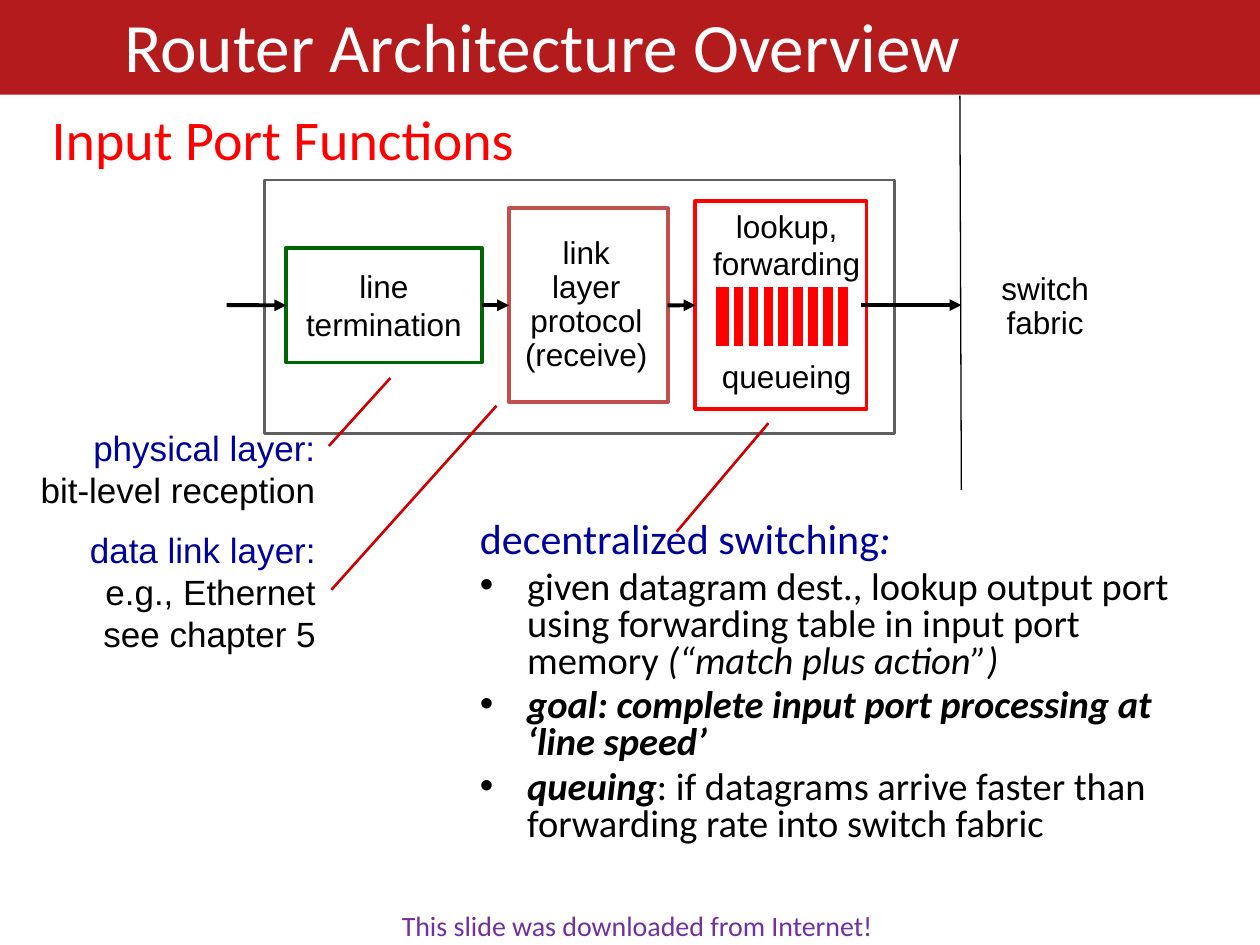
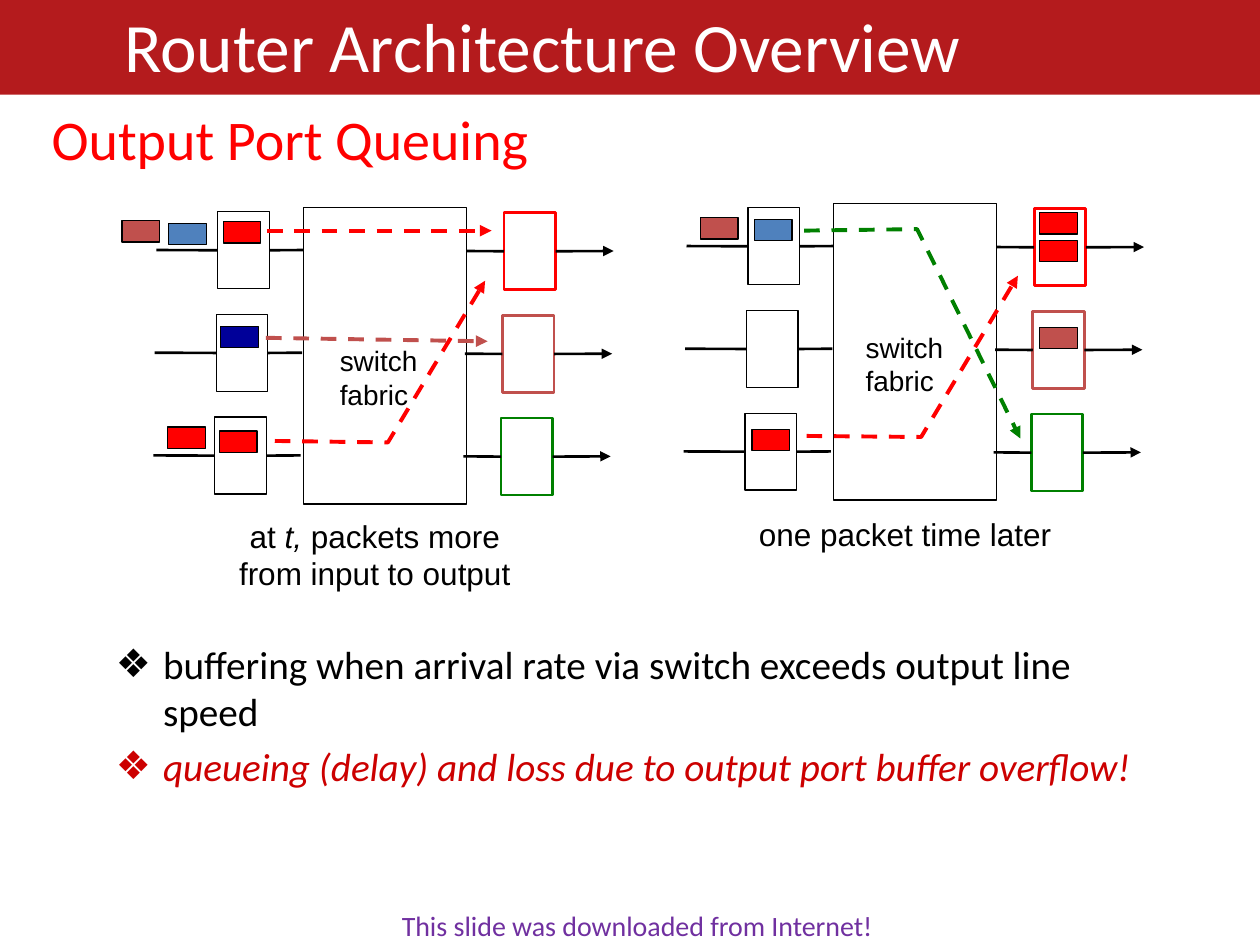
import pptx
import pptx.util
import pptx.dml.color
import pptx.enum.dml
import pptx.enum.shapes
import pptx.enum.text
import pptx.oxml.ns
import lxml.etree

Cm = pptx.util.Cm
Pt = pptx.util.Pt
RGBColor = pptx.dml.color.RGBColor
ALIGN = pptx.enum.text.PP_ALIGN
ANCHOR = pptx.enum.text.MSO_ANCHOR
qn = pptx.oxml.ns.qn

BAND = RGBColor(0xB4, 0x1B, 0x1D)
WHITE = RGBColor(0xFF, 0xFF, 0xFF)
BLACK = RGBColor(0, 0, 0)
RED = RGBColor(0xFF, 0, 0)
CRIMSON = RGBColor(0xCC, 0, 0)
BRICK = RGBColor(0xC0, 0x50, 0x4D)
NAVY = RGBColor(0, 0, 0x99)
BLUE = RGBColor(0x4F, 0x81, 0xBD)
GREEN = RGBColor(0, 0x80, 0)
DARK_GREEN = RGBColor(0, 0x66, 0)
GRAY = RGBColor(0x5F, 0x5F, 0x5F)
PURPLE = RGBColor(0x70, 0x30, 0xA0)

LEFT, RIGHT = 1, 3  # connection sites of a rectangle


def add_child(parent, tag, **attributes):
    child = lxml.etree.SubElement(parent, qn(tag))
    for name, value in attributes.items():
        child.set(name, value)


def write_spans(para, spans, size, font):
    """Each span is (text, colour) or (text, colour, style), style holding b and/or i."""
    for text, colour, *style in spans:
        span = para.add_run()
        span.text = text
        span.font.size = Pt(size)
        span.font.name = font
        span.font.color.rgb = colour
        span.font.bold = "b" in "".join(style)
        span.font.italic = "i" in "".join(style)


def write_lines(frame, lines, size, font="Arial", align=ALIGN.CENTER, spacing=None):
    """Write one paragraph per line and return the last one."""
    for number, spans in enumerate(lines):
        para = frame.add_paragraph() if number else frame.paragraphs[0]
        para.alignment = align
        if spacing:
            para.line_spacing = spacing
        write_spans(para, spans, size, font)
    return para


def black_lines(*texts):
    return [[(text, BLACK)] for text in texts]


def add_label(page, place, lines, size, anchor=ANCHOR.TOP, wrap=False, **style):
    box = page.shapes.add_textbox(*map(Cm, place))
    box.text_frame.word_wrap = wrap
    box.text_frame.vertical_anchor = anchor
    return write_lines(box.text_frame, lines, size, **style)


def add_box(page, place, line_colour=BLACK, width=0.75, fill=WHITE):
    box = page.shapes.add_shape(
        pptx.enum.shapes.MSO_SHAPE.RECTANGLE, *map(Cm, place))
    box.shadow.inherit = False
    box.fill.solid()
    box.fill.fore_color.rgb = fill
    box.line.color.rgb = line_colour
    box.line.width = Pt(width)
    return box


def style_line(shape, colour, width, arrow, dashed):
    shape.line.color.rgb = colour
    shape.line.width = Pt(width)
    if dashed:
        shape.line.dash_style = pptx.enum.dml.MSO_LINE.DASH
    if arrow:
        add_child(shape.element.spPr.find(qn("a:ln")), "a:tailEnd", type="triangle")


def add_line(page, start, end, colour=BLACK, width=1.5, arrow=False, dashed=False,
             source=None, target=None):
    """Draw a straight line; source leaves by its right side, target is met on its left."""
    line = page.shapes.add_connector(
        pptx.enum.shapes.MSO_CONNECTOR.STRAIGHT, *map(Cm, start + end))
    if source is not None:
        line.begin_connect(source, RIGHT)
    if target is not None:
        line.end_connect(target, LEFT)
    style_line(line, colour, width, arrow, dashed)
    add_child(line.element.spPr, "a:effectLst")


def add_route(page, colour, *points):
    """Draw a dashed arrow through two or more points."""
    if len(points) == 2:
        add_line(page, *points, colour, 2.25, arrow=True, dashed=True)
        return
    start, *bends = [tuple(map(Cm, point)) for point in points]
    builder = page.shapes.build_freeform(*start)
    builder.add_line_segments(bends, close=False)
    route = builder.convert_to_shape()
    route.shadow.inherit = False
    route.fill.background()
    style_line(route, colour, 2.25, arrow=True, dashed=True)


def fill_body(page, place, paragraphs, spacing=None):
    """Each paragraph is (bullet or None, size, spans)."""
    body = page.placeholders[1]
    body.left, body.top, body.width, body.height = map(Cm, place)
    frame = body.text_frame
    frame.auto_size = pptx.enum.text.MSO_AUTO_SIZE.NONE
    for number, (bullet, size, spans) in enumerate(paragraphs):
        para = frame.add_paragraph() if number else frame.paragraphs[0]
        if spacing:
            para.line_spacing = spacing
        write_spans(para, spans, size, "Calibri")
        properties = para._p.get_or_add_pPr()
        if bullet:
            add_child(properties, "a:buFont", typeface="Arial")
            add_child(properties, "a:buChar", char=bullet)
        else:
            add_child(properties, "a:buNone")


def start_page(deck, heading, heading_width):
    """Add a slide with the band, title, heading and footer that all slides share."""
    page = deck.slides.add_slide(deck.slide_layouts[1])
    title = page.shapes.title
    title.left, title.top, title.width, title.height = map(Cm, (0, -0.05, 21.87, 1.91))
    title.text_frame.auto_size = pptx.enum.text.MSO_AUTO_SIZE.NONE
    title.text_frame.vertical_anchor = ANCHOR.MIDDLE
    write_lines(title.text_frame, [[("Router Architecture Overview", WHITE)]],
                39.6, "Calibri")
    band = add_box(page, (0, 0, 25.4, 1.91), fill=BAND)
    band.line.fill.background()
    title.element.addprevious(band.element)
    add_label(page, (0.79, 1.98, heading_width, 1.63), [[(heading, RED)]], 32,
              font="Calibri", align=ALIGN.LEFT)
    add_label(page, (7.85, 18.19, 11.53, 0.94),
              [[("This slide was downloaded from Internet!", PURPLE)]], 16,
              font="Calibri", align=ALIGN.LEFT)
    return page


def add_queue(page, left, top, width, height):
    """Draw a red buffer cut into slots by white dividers."""
    add_box(page, (left, top, width, height), WHITE, 3, RED)
    for slot in range(8):
        x = left + 0.36 + 0.3 * slot
        add_line(page, (x, top), (x, top + height - 0.03), WHITE, 3)


def build_input_page(deck):
    page = start_page(deck, "Input Port Functions", 9.96)
    add_box(page, (5.33, 3.63, 12.7, 5.11), GRAY, 1.5)
    termination = add_box(page, (5.77, 5, 3.94, 2.31), DARK_GREEN, 2.25)
    termination.text_frame.word_wrap = False
    termination.text_frame.vertical_anchor = ANCHOR.MIDDLE
    write_lines(termination.text_frame, black_lines("line", "termination"), 18)
    link = add_box(page, (10.26, 4.2, 3.2, 3.91), BRICK, 2.25)
    lookup = add_box(page, (14.02, 4.06, 3.45, 4.19), RED, 2.25)

    arrow = {"width": 2.25, "arrow": True}
    row = 6.15
    add_line(page, (4.57, row), (5.77, row), target=termination, **arrow)
    add_line(page, (9.71, row), (10.26, row), source=termination, target=link, **arrow)
    add_line(page, (13.46, row), (14.02, row), source=link, target=lookup, **arrow)
    add_line(page, (17.35, row), (19.38, row), **arrow)

    add_label(page, (9.82, 5, 4, 2.31),
              black_lines("link", "layer", "protocol", "(receive)"), 18,
              ANCHOR.MIDDLE, spacing=0.9)
    add_label(page, (19.61, 5.05, 2.92, 2.31), black_lines("switch", "fabric"), 18,
              ANCHOR.MIDDLE, spacing=0.9)
    queueing = add_label(page, (13.87, 4.04, 3.98, 4.06),
                         black_lines("lookup,", "forwarding", "queueing"), 18)
    queueing.space_before = Pt(43)
    add_queue(page, 14.38, 5.74, 2.77, 1.3)
    add_line(page, (19.35, 1.93), (19.38, 9.88), width=0.75)

    add_label(page, (0.11, 8.48, 6.5, 1.96),
              [[("physical layer:", NAVY)], [("bit-level reception", BLACK)]], 20,
              align=ALIGN.RIGHT)
    add_label(page, (0.12, 10.52, 6.5, 2.79),
              [[("data link layer:", NAVY)]] + black_lines("e.g., Ethernet", "see chapter 5"),
              20, align=ALIGN.RIGHT)
    for start, end in [((6.63, 8.99), (7.87, 7.62)),
                       ((6.68, 11.89), (10.01, 8.18)),
                       ((13.64, 10.72), (15.49, 8.53))]:
        add_line(page, start, end, CRIMSON)

    fill_body(page, (9.42, 10.41, 15.16, 7.42), [
        (None, 24, [("decentralized switching", NAVY), (":", NAVY, "i")]),
        ("•", 22, [("given datagram dest., lookup output port using forwarding "
                    "table in input port memory ", BLACK),
                   ("(“match plus action”)", BLACK, "i")]),
        ("•", 22, [("goal: complete input port processing at ‘line speed’",
                    BLACK, "bi")]),
        ("•", 22, [("queuing", BLACK, "bi"),
                   (": if datagrams arrive faster than forwarding rate into "
                    "switch fabric", BLACK)]),
    ], spacing=0.8)


def add_switch(page, left, top):
    """Draw a switch fabric with three input and three output ports."""
    add_box(page, (left, top, 3.28, 5.97))
    for row, colour in enumerate((RED, BRICK, GREEN)):
        x = left - 0.03 * row
        y = top + 2.07 * row
        inlet = add_box(page, (x - 1.73, y + 0.08, 1.04, 1.55))
        outlet = add_box(page, (x + 4.04, y + 0.1, 1.04, 1.55), colour, 1.5)
        in_y, out_y = y + 0.85, y + 0.87
        add_line(page, (x - 2.97, in_y), (x - 1.73, in_y), target=inlet)
        add_line(page, (x - 0.69, in_y), (x, in_y), source=inlet)
        add_line(page, (x + 3.28, out_y), (x + 4.04, out_y), target=outlet)
        add_line(page, (x + 5.08, out_y), (x + 6.25, out_y), arrow=True, source=outlet)


def build_output_page(deck):
    page = start_page(deck, "Output Port Queuing", 10.49)
    add_switch(page, 6.12, 4.19)
    add_switch(page, 16.81, 4.11)

    packets = {
        RED: [(4.5, 4.47), (4.42, 8.69), (3.38, 8.61),
              (20.96, 4.29), (20.96, 4.85), (15.16, 8.66)],
        NAVY: [(4.45, 6.58)],
        BLUE: [(3.4, 4.5), (15.21, 4.42)],
        BRICK: [(2.46, 4.45), (14.12, 4.39), (20.96, 6.6)],
    }
    for colour, corners in packets.items():
        for left, top in corners:
            add_box(page, (left, top, 0.76, 0.43), fill=colour)

    for left, top in [(6.6, 6.81), (17.2, 6.53)]:
        add_label(page, (left, top, 2.08, 1.63), black_lines("switch", "fabric"), 16,
                  align=ALIGN.LEFT)
    add_route(page, RED, (5.38, 4.65), (9.91, 4.65))
    add_route(page, BRICK, (5.36, 6.81), (9.83, 6.88))
    add_route(page, RED, (5.54, 8.89), (7.82, 8.92), (9.78, 5.66))
    add_route(page, RED, (16.26, 8.79), (18.57, 8.81), (20.52, 5.56))
    add_route(page, GREEN, (16.21, 4.65), (18.49, 4.62), (20.57, 8.84))

    add_label(page, (4.14, 10.29, 6.83, 1.78),
              [[("at ", BLACK), ("t,", BLACK, "i"), (" packets more", BLACK)],
               [("from input to output", BLACK)]], 18, wrap=True)
    add_label(page, (14.83, 10.26, 6.83, 1.02),
              black_lines("one packet time later"), 18, wrap=True)
    fill_body(page, (2.08, 12.78, 21.59, 3.3), [
        ("❖", 22.4, [("buffering when arrival rate via switch exceeds output line "
                      "speed", BLACK)]),
        ("❖", 22.4, [("queueing (delay) and loss due to output port buffer "
                      "overflow!", CRIMSON, "i")]),
    ])


def main():
    deck = pptx.Presentation()
    deck.slide_width, deck.slide_height = Cm(25.4), Cm(19.05)
    build_input_page(deck)
    build_output_page(deck)
    deck.save("out.pptx")


if __name__ == "__main__":
    main()
